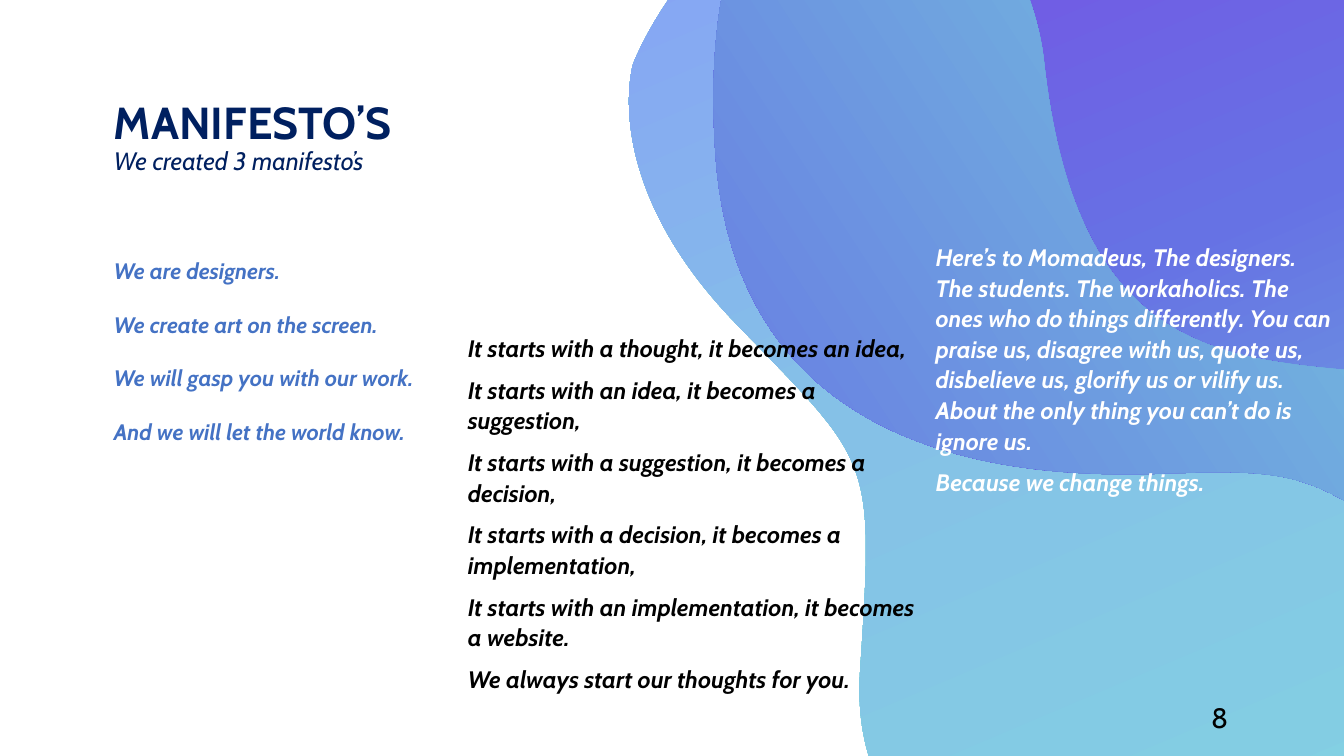
from copy import deepcopy
from math import cos, radians, sin

from lxml.etree import SubElement
from pptx import Presentation
from pptx.dml.color import RGBColor as Rgb
from pptx.enum.text import MSO_ANCHOR as Anchor, PP_ALIGN as Align
from pptx.oxml.ns import qn
from pptx.util import Inches, Pt

FONT = "Cabin"
NAVY = Rgb(0x00, 0x20, 0x60)
BLUE = Rgb(0x44, 0x72, 0xC4)
BLACK = Rgb(0x00, 0x00, 0x00)
WHITE = Rgb(0xFF, 0xFF, 0xFF)
AQUA = Rgb(0x80, 0xDE, 0xDE)
SKY = Rgb(0x85, 0xC1, 0xE7)
LILAC = Rgb(0x87, 0x8C, 0xFF)
MINT = Rgb(0x7C, 0xEF, 0xD8)
INDIGO = Rgb(0x66, 0x72, 0xE4)
VIOLET = Rgb(0x88, 0x2B, 0xE5)

TURN = 157

BLOBS = [
    ((6.63, -2.59, 9.49, 12.6), 90, [(0, AQUA), (0.54, SKY), (1, LILAC)],
     (10.52, 0.93), [
        (11.03, 5.43, 14.22, 3.02, 15.99, 4.83),
        (17.76, 6.64, 17.13, 7.98, 16.6, 8.27),
        (16.07, 8.56, 15.61, 8.53, 15.06, 7.74),
        (14.51, 6.95, 12.84, 7.83, 11.7, 8.43),
        (10.55, 9.03, 8.37, 8.8, 8.51, 6.66),
        (8.65, 4.51, 8.64, 4.63, 7.27, 3.21),
        (5.9, 1.79, 6.26, 0.64, 6.26, 0.64),
        (6.26, 0.64, 7, -1.27, 8.69, -1.1),
        (10.38, -0.93, 10.52, 0.93, 10.52, 0.93)]),
    ((6.84, -3.23, 9.58, 11.76), 90, [(0, MINT), (0.51, INDIGO), (1, VIOLET)],
     (8.64, -1.99), [
        (8.64, -1.99, 6.87, -1.72, 7.1, 1.54),
        (7.33, 4.79, 10.49, 4.74, 11.62, 4.7),
        (12.75, 4.66, 13.04, 4.7, 13.94, 5.39),
        (14.84, 6.07, 15.45, 7.42, 16.6, 6.13),
        (17.75, 4.83, 15.58, 3.45, 15.28, 2.88),
        (14.98, 2.31, 15.54, 0.86, 15.03, 0.3),
        (14.52, -0.25, 14.17, -0.93, 11.81, -0.73),
        (11.81, -0.73, 10.65, -0.34, 9.76, -1.58),
        (9.76, -1.58, 9.2, -2.26, 8.64, -1.99)]),
    ((7.02, -2.31, 8.28, 11.07), 170, [(0, VIOLET), (0.19, INDIGO), (1, MINT)],
     (7.1, 1.54), [
        (7, 0.06, 7.3, -0.8, 7.67, -1.3),
        (7.92, -1.39, 8.21, -1.43, 8.53, -1.4),
        (10.22, -1.23, 10.36, 0.63, 10.36, 0.63),
        (10.87, 5.13, 14.05, 2.72, 15.83, 4.53),
        (16.3, 5.01, 16.61, 5.47, 16.78, 5.87),
        (16.74, 5.96, 16.67, 6.04, 16.6, 6.13),
        (15.45, 7.42, 14.84, 6.07, 13.94, 5.39),
        (13.04, 4.7, 12.75, 4.66, 11.62, 4.7),
        (10.49, 4.74, 7.33, 4.79, 7.1, 1.54)]),
]

CREED = [
    "We are designers.",
    "We create art on the screen.",
    "We will gasp you with our work.",
    "And we will let the world know.",
]
CHAIN = [
    "It starts with a thought, it becomes an idea,",
    "It starts with an idea, it becomes a suggestion,",
    "It starts with a suggestion, it becomes a decision,",
    "It starts with a decision, it becomes a implementation,",
    "It starts with an implementation, it becomes a website.",
    "We always start our thoughts for you.",
]
TOAST = [
    "Here’s to Momadeus, The designers. The students. The workaholics. "
    "The ones who do things differently. You can praise us, disagree with us, "
    "quote us, disbelieve us, glorify us or vilify us. About the only thing "
    "you can’t do is ignore us.",
    "Because we change things.",
]


def unturn(dot, box):
    left, top, width, height = box
    mx, my = left + width / 2, top + height / 2
    dx, dy = dot[0] - mx, dot[1] - my
    c, s = cos(radians(TURN)), sin(radians(TURN))
    return Inches(mx + dx * c + dy * s), Inches(my - dx * s + dy * c)


def bend(blob):
    lines = list(blob._element.spPr.iter(qn("a:lnTo")))
    for i in range(0, len(lines), 3):
        trio = lines[i:i + 3]
        curve = SubElement(trio[0].getparent(), qn("a:cubicBezTo"))
        trio[0].addprevious(curve)
        for line in trio:
            curve.append(line[0])
            line.getparent().remove(line)


def add_blob(group, box, angle, stops, start, curves):
    dots = [unturn(curve[i:i + 2], box) for curve in curves for i in (0, 2, 4)]
    pen = group.shapes.build_freeform(*unturn(start, box))
    pen.add_line_segments(dots, close=True)
    blob = pen.convert_to_shape()
    bend(blob)
    blob.rotation = TURN
    blob.shadow.inherit = False
    blob.line.fill.background()
    blob.fill.gradient()
    blob.fill.gradient_angle = 360 - angle
    ramp = blob._element.spPr.find(".//" + qn("a:gsLst"))
    ramp.append(deepcopy(ramp[0]))
    for mark, (place, color) in zip(blob.fill.gradient_stops, stops):
        mark.position = place
        mark.color.rgb = color


def add_text(slide, box, lines, size, color, bold=False, italic=False,
             pitch=None, gap=0, align=Align.LEFT, anchor=Anchor.TOP,
             inset=(0, 0)):
    frame = slide.shapes.add_textbox(*map(Inches, box)).text_frame
    frame.word_wrap = True
    frame.vertical_anchor = anchor
    frame.margin_left = frame.margin_right = Inches(inset[0])
    frame.margin_top = frame.margin_bottom = Inches(inset[1])
    for i, line in enumerate(lines):
        para = frame.add_paragraph() if i else frame.paragraphs[0]
        para.alignment = align
        if pitch:
            para.line_spacing = pitch
        if i and gap:
            para.space_before = Pt(gap)
        run = para.add_run()
        run.text = line
        font = run.font
        font.name, font.size = FONT, Pt(size)
        font.bold, font.italic = bold, italic
        font.color.rgb = color


def add_waves(slide):
    group = slide.shapes.add_group_shape()
    for blob in BLOBS:
        add_blob(group, *blob)


def add_head(slide, left, top):
    add_text(slide, (left, top, 6.37, 0.56), ["MANIFESTO’S"], 32, NAVY,
             bold=True, pitch=1.11)
    add_text(slide, (left, top + 0.56, 6.81, 0.3),
             ["We created 3 manifesto’s"], 18, NAVY, italic=True)


def add_verse(slide, box, lines, color, size=17, pitch=1.07, gap=8):
    add_text(slide, box, lines, size, color, bold=True, italic=True,
             pitch=pitch, gap=gap)


def add_page(slide, box):
    add_text(slide, box, ["8"], 20, BLACK, align=Align.RIGHT,
             anchor=Anchor.MIDDLE, inset=(0.1, 0.05))


def main():
    deck = Presentation()
    deck.slide_width, deck.slide_height = Inches(13.33), Inches(7.5)
    slide = deck.slides.add_slide(deck.slide_layouts[6])
    add_verse(slide, (1.13, 2.55, 3.48, 1.98), CREED, BLUE,
              size=16, pitch=None, gap=19.2)
    add_waves(slide)
    add_verse(slide, (4.64, 3.29, 4.6, 3.7), CHAIN, BLACK)
    add_verse(slide, (9.28, 2.39, 3.96, 2.73), TOAST, WHITE)
    add_head(slide, 1.13, 0.88)
    add_page(slide, (9.28, 6.92, 3, 0.4))
    deck.save("out.pptx")


if __name__ == "__main__":
    main()
